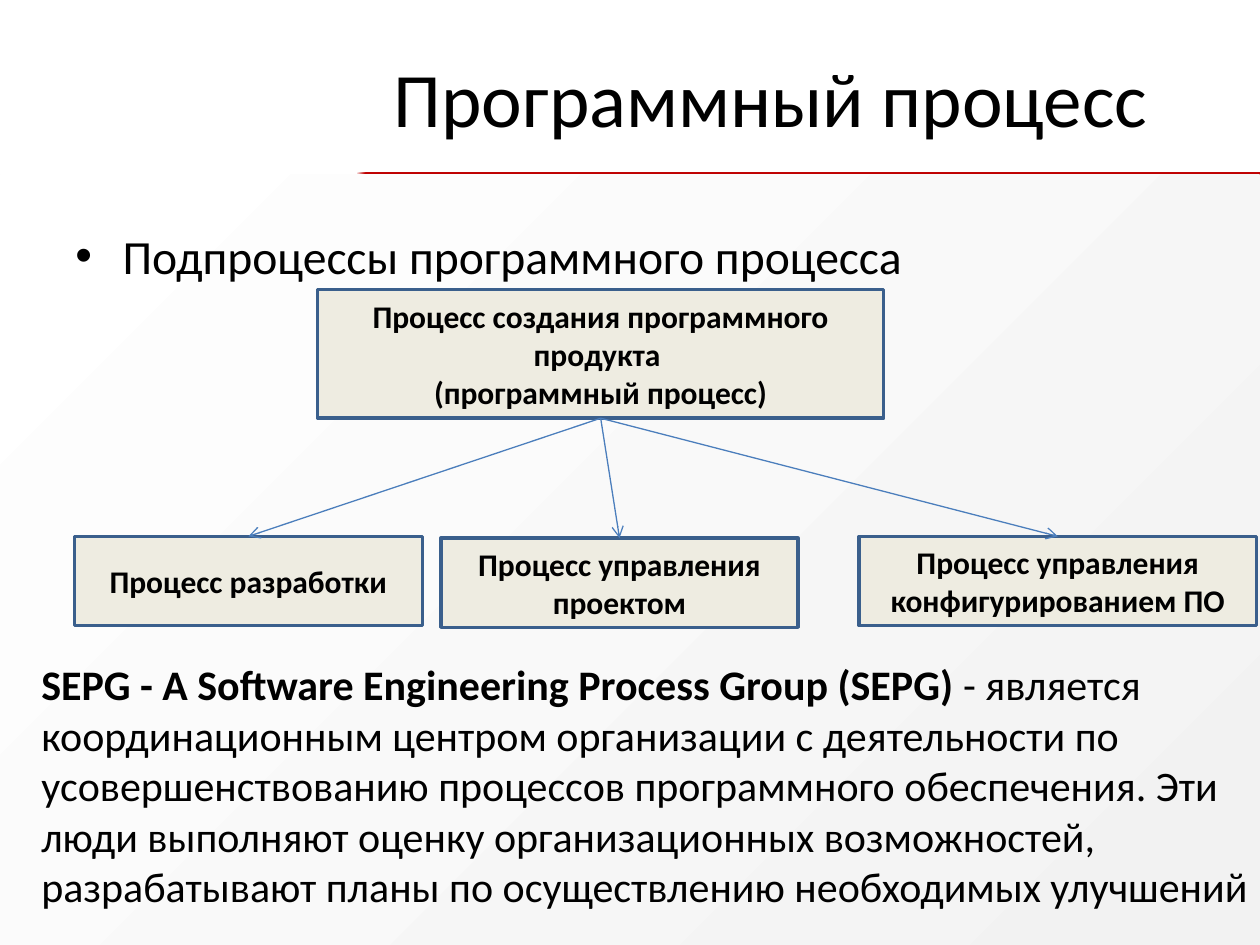
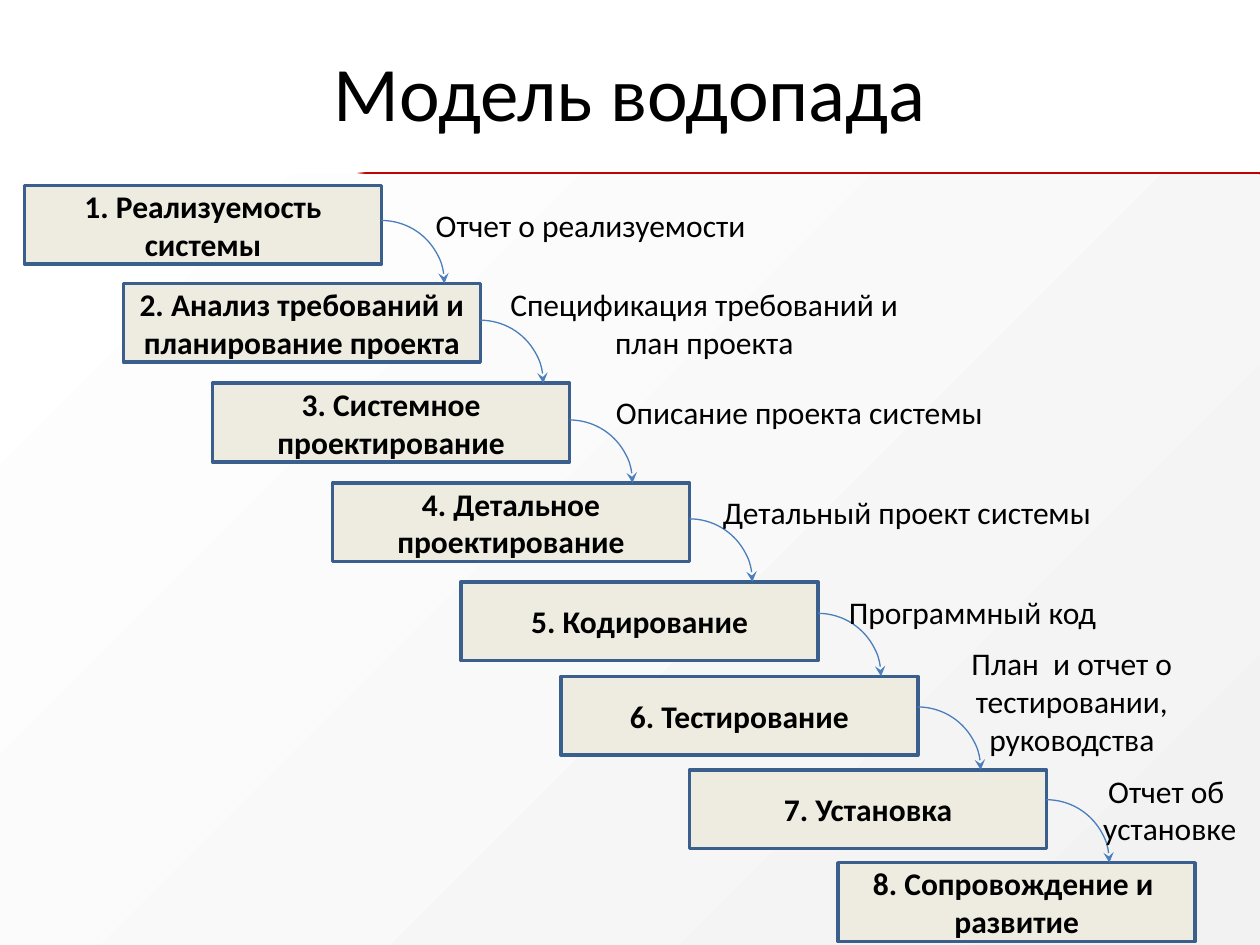
from lxml import etree
from pptx import Presentation
from pptx.dml.color import RGBColor
from pptx.enum.shapes import MSO_CONNECTOR, MSO_SHAPE
from pptx.enum.text import MSO_ANCHOR, PP_ALIGN
from pptx.oxml import parse_xml
from pptx.oxml.ns import nsdecls, qn
from pptx.util import Pt

RECTANGLE, ARC = MSO_SHAPE.RECTANGLE, MSO_SHAPE.ARC
STRAIGHT = MSO_CONNECTOR.STRAIGHT
LEFT, CENTER = PP_ALIGN.LEFT, PP_ALIGN.CENTER
TOP, MIDDLE = MSO_ANCHOR.TOP, MSO_ANCHOR.MIDDLE
TOP_SIDE, BOTTOM_SIDE = 0, 2

FONT = "Calibri"
BLACK = RGBColor(0x00, 0x00, 0x00)
WHITE = RGBColor(0xFF, 0xFF, 0xFF)
PALE_GRAY = RGBColor(0xF2, 0xF2, 0xF2)
RED = RGBColor(0xC0, 0x00, 0x00)
CREAM = RGBColor(0xEE, 0xEC, 0xE1)
BOX_BLUE = RGBColor(0x3A, 0x5F, 0x8C)
ARROW_BLUE = RGBColor(0x4B, 0x7E, 0xBC)

SLIDE_W, SLIDE_H = 720, 540
BAND_TOP = 100

# Waterfall geometry
STEP_W, STEP_H = 204, 45
ARC_SIZE = 72

# Step text, left, top
STEPS = [
    ("1. Реализуемость системы", 14, 106),
    ("2. Анализ требований и планирование проекта", 70.5, 162),
    ("3. Системное проектирование", 121.5, 219),
    ("4. Детальное проектирование", 190, 276),
    ("5. Кодирование", 263.5, 332.5),
    ("6. Тестирование", 320.5, 386.5),
    ("7. Установка", 394, 440),
    ("8. Сопровождение и  развитие", 479, 493),
]
# Result text, left, top, width
RESULTS = [
    ("Отчет о реализуемости", 235.5, 106, 204),
    ("Спецификация требований и план проекта", 275, 162, 255),
    ("Описание проекта системы", 337.5, 213, 238.5),
    ("Детальный проект системы", 388, 270, 260.5),
    ("Программный код", 456.5, 327, 198.5),
    ("План  и отчет о тестировании, руководства", 505, 378, 215),
    ("Отчет об \nустановке", 609, 440, 119),
]
# Subprocess text, left, top, width
SUBPROCESSES = [
    ("Процесс разработки", 42.5, 306.5, 199),
    ("Процесс управления проектом", 252, 307.5, 204),
    ("Процесс управления конфигурированием ПО", 491, 306.5, 227),
]
SEPG_NAME = "SEPG - A Software Engineering Process Group (SEPG) "
SEPG_ROLE = (
    "- является координационным центром организации с деятельности по "
    "усовершенствованию процессов программного обеспечения. Эти люди выполняют "
    "оценку организационных возможностей, разрабатывают планы по осуществлению "
    "необходимых улучшений"
)


def format_text(frame, size, bold=False, align=CENTER, anchor=MIDDLE):
    frame.word_wrap = True
    frame.vertical_anchor = anchor
    for paragraph in frame.paragraphs:
        paragraph.alignment = align
        for run in paragraph.runs:
            run.font.name = FONT
            run.font.size = Pt(size)
            run.font.bold = bold
            run.font.color.rgb = BLACK


def add_text(slide, text, left, top, width, height, size, **style):
    box = slide.shapes.add_textbox(Pt(left), Pt(top), Pt(width), Pt(height))
    box.text_frame.text = text
    format_text(box.text_frame, size, **style)
    return box.text_frame


def add_plain_shape(slide, kind, left, top, width, height):
    shape = slide.shapes.add_shape(kind, Pt(left), Pt(top), Pt(width), Pt(height))
    shape.shadow.inherit = False
    return shape


def add_box(slide, text, left, top, width, height):
    box = add_plain_shape(slide, RECTANGLE, left, top, width, height)
    box.fill.solid()
    box.fill.fore_color.rgb = CREAM
    box.line.color.rgb = BOX_BLUE
    box.line.width = Pt(2)
    box.text_frame.text = text
    format_text(box.text_frame, 18, bold=True)
    return box


def style_arrow(arrow, head):
    arrow.line.color.rgb = ARROW_BLUE
    arrow.line.width = Pt(0.75)
    outline = arrow.element.spPr.find(qn("a:ln"))
    etree.SubElement(outline, qn("a:tailEnd"), type=head)


def add_arrow(slide, parent, child):
    arrow = slide.shapes.add_connector(STRAIGHT, 0, 0, 0, 0)
    arrow.begin_connect(parent, BOTTOM_SIDE)
    arrow.end_connect(child, TOP_SIDE)
    style_arrow(arrow, "arrow")
    etree.SubElement(arrow.element.spPr, qn("a:effectLst"))


def add_arc_arrow(slide, left, top):
    arc = add_plain_shape(slide, ARC, left, top, ARC_SIZE, ARC_SIZE)
    arc.fill.background()
    style_arrow(arc, "stealth")


def add_bullet(paragraph, indent):
    properties = paragraph._p.get_or_add_pPr()
    properties.set("marL", str(Pt(indent)))
    properties.set("indent", str(-Pt(indent)))
    etree.SubElement(properties, qn("a:buFont"), typeface="Arial")
    etree.SubElement(properties, qn("a:buChar"), char="•")


def add_gradient_band(slide, left, top, width, height, stops):
    """Draw a band shaded outward from its top left corner."""
    band = add_plain_shape(slide, RECTANGLE, left, top, width, height)
    band.line.fill.background()
    band.fill.solid()
    stop_xml = "".join(
        f'<a:gs pos="{position * 1000}"><a:srgbClr val="{color}">'
        f'<a:alpha val="{opacity * 1000}"/></a:srgbClr></a:gs>'
        for position, color, opacity in stops
    )
    gradient = parse_xml(
        f'<a:gradFill {nsdecls("a")} rotWithShape="1"><a:gsLst>{stop_xml}</a:gsLst>'
        '<a:path path="circle"><a:fillToRect r="100000" b="100000"/></a:path>'
        "</a:gradFill>"
    )
    properties = band.element.spPr
    properties.replace(properties.find(qn("a:solidFill")), gradient)
    return band


def decorate_master(prs, slide):
    """Place the shared red rule and shaded background on the master."""
    rule = add_gradient_band(slide, 204, 98.5, 516, 3.5,
                             [(0, RED, 0), (1, RED, 100), (100, RED, 100)])
    background = add_gradient_band(slide, 0, BAND_TOP, SLIDE_W, SLIDE_H - BAND_TOP,
                                   [(0, WHITE, 100), (100, PALE_GRAY, 100)])
    master_tree = prs.slide_master.shapes.element
    for position, band in enumerate((rule, background), start=2):
        master_tree.insert(position, band.element)


def add_titled_slide(prs, text, left, top, width, height):
    slide = prs.slides.add_slide(prs.slide_layouts.get_by_name("Title Only"))
    title = slide.shapes.title
    title.left, title.top = Pt(left), Pt(top)
    title.width, title.height = Pt(width), Pt(height)
    title.text_frame.text = text
    format_text(title.text_frame, 44)
    return slide


def fill_process_slide(slide):
    heading = add_text(slide, "Подпроцессы программного процесса", 36, 126, 648, 36,
                       27.2, align=LEFT, anchor=TOP)
    add_bullet(heading.paragraphs[0], 27)

    # Process tree
    process = add_box(slide, "Процесс создания программного продукта \n(программный процесс)",
                      181.5, 165.5, 323.5, 73.5)
    subprocesses = [add_box(slide, text, left, top, width, 51)
                    for text, left, top, width in SUBPROCESSES]
    for subprocess in subprocesses:
        add_arrow(slide, process, subprocess)

    # Definition of the process group
    definition = add_text(slide, SEPG_NAME, 16.5, 373, 718, 152.5, 24,
                          align=LEFT, anchor=TOP)
    definition.paragraphs[0].add_run().text = SEPG_ROLE
    format_text(definition, 24, align=LEFT, anchor=TOP)
    definition.paragraphs[0].runs[0].font.bold = True


def fill_waterfall_slide(slide):
    for text, left, top in STEPS:
        add_box(slide, text, left, top, STEP_W, STEP_H)

    # Each arc leaves a step's right side and lands on the next step's top
    for (_, left, _), (_, _, next_top) in zip(STEPS, STEPS[1:]):
        add_arc_arrow(slide, left + STEP_W - ARC_SIZE / 2, next_top - ARC_SIZE / 2)

    for text, left, top, width in RESULTS:
        add_text(slide, text, left, top, width, STEP_H, 18)


def main():
    prs = Presentation()
    prs.slide_width, prs.slide_height = Pt(SLIDE_W), Pt(SLIDE_H)

    process_slide = add_titled_slide(prs, "Программный процесс", 116.5, 10, 648, 90)
    decorate_master(prs, process_slide)
    fill_process_slide(process_slide)

    waterfall_slide = add_titled_slide(prs, "Модель водопада", 36, 21.5, 648, 61)
    fill_waterfall_slide(waterfall_slide)

    prs.save("out.pptx")


if __name__ == "__main__":
    main()
